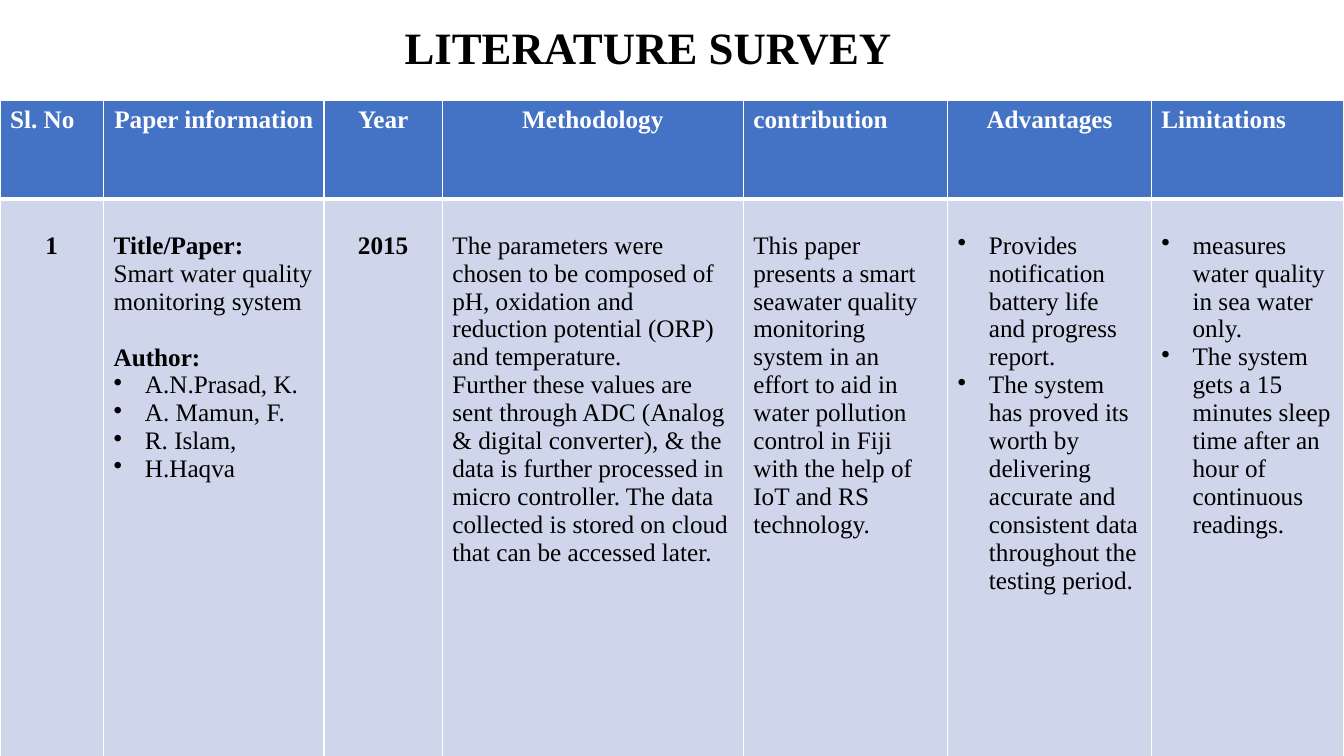
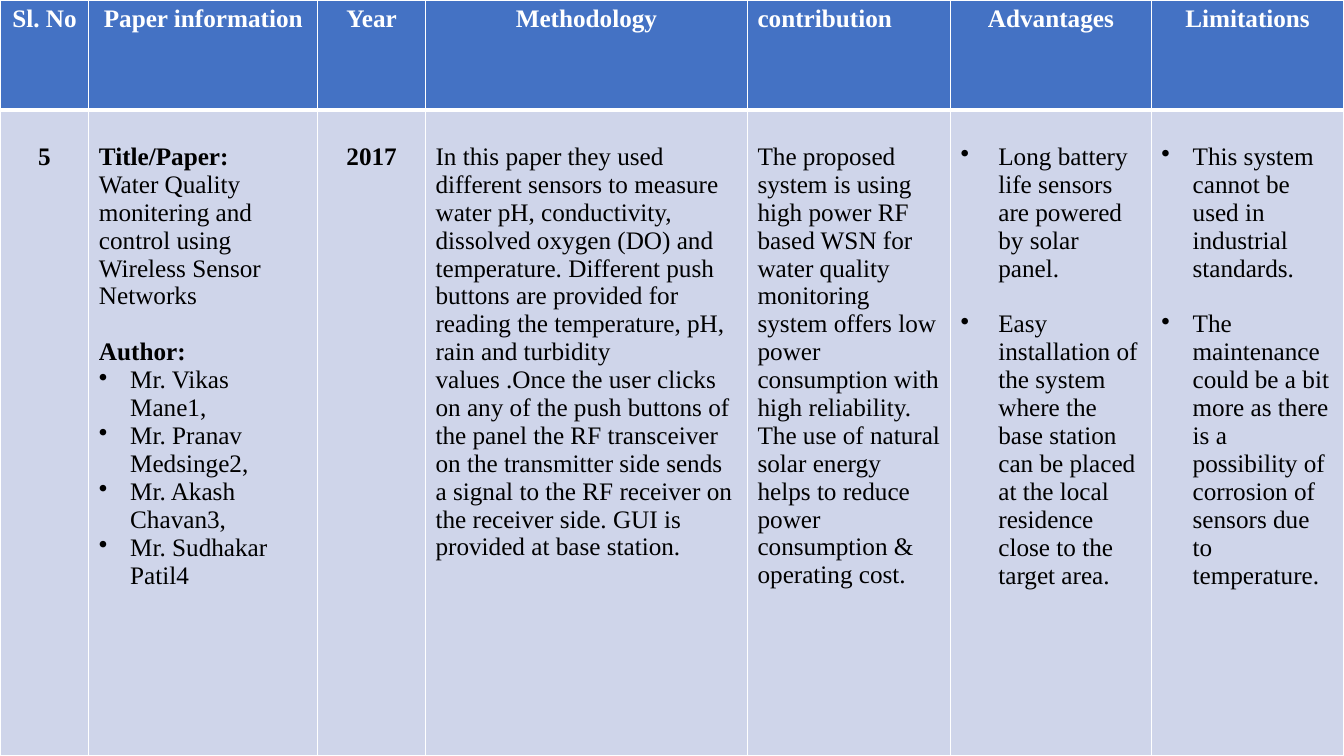
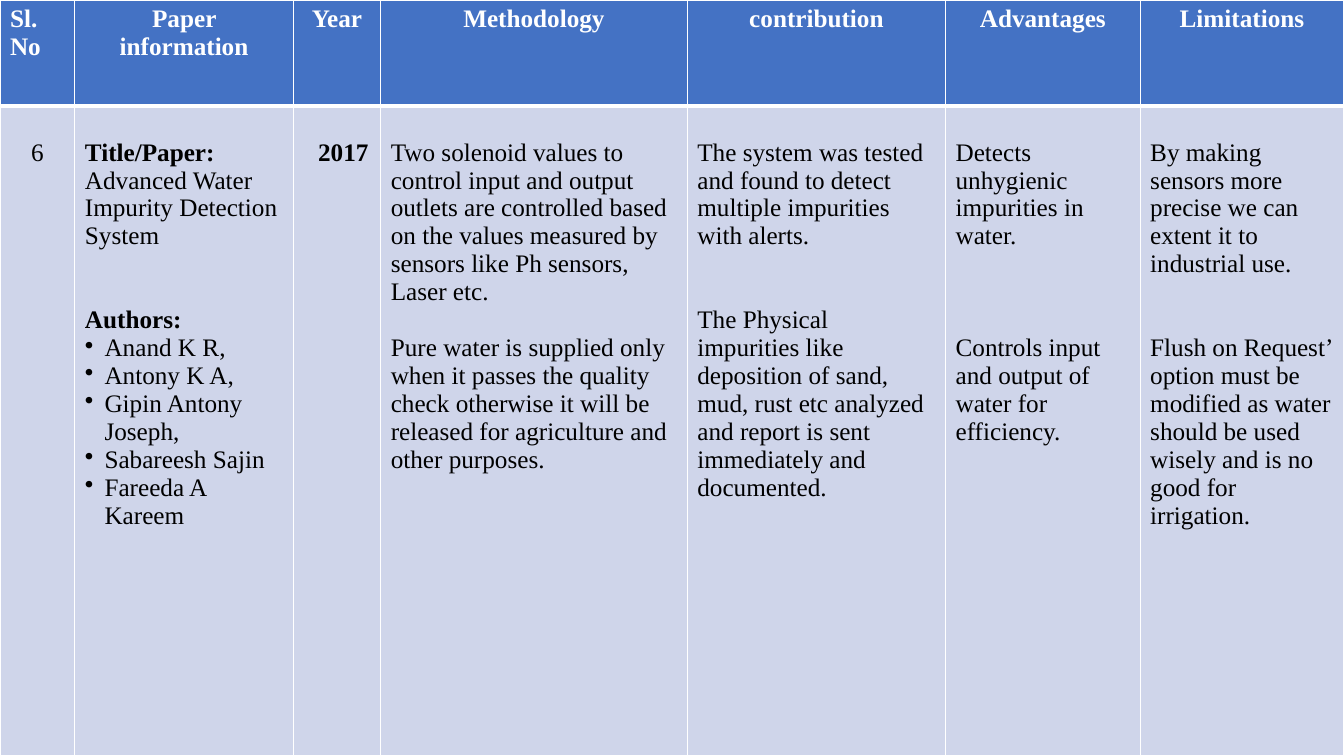
from dataclasses import dataclass

from lxml.etree import SubElement
from pptx import Presentation
from pptx.dml.color import RGBColor
from pptx.enum.text import MSO_ANCHOR, PP_ALIGN
from pptx.oxml.ns import qn
from pptx.util import Pt

FONT = "Times New Roman"
BLACK, WHITE, HEADER_FILL, BODY_FILL = "000000", "FFFFFF", "4472C4", "CFD5EA"
SLIDE_WIDTH, SLIDE_HEIGHT = 960, 540
TEXT_SIZE, LINE_HEIGHT, CELL_INSET = 18, 20, 3.6
TITLE = "LITERATURE SURVEY"
HEADINGS = ["Sl. No", "Paper information", "Year", "Methodology",
            "contribution", "Advantages", "Limitations"]


@dataclass
class Para:
    """One paragraph; gap counts the free lines above it."""
    text: str
    bold: bool = False
    centred: bool = False
    gap: int = 0
    hang: float = 0
    indent: float = 0


def label(text, gap=0):
    return Para(text, bold=True, gap=gap)


def centre(text, bold=True, indent=0):
    return Para(text, bold=bold, centred=True, indent=indent)


def bullets(*texts, gap=0, hang=22.3):
    return [Para(text, gap=gap if i else 0, hang=hang)
            for i, text in enumerate(texts)]


SURVEYS = [
    {
        "title": TITLE,
        "top": 72,
        "columns": [74, 157.5, 84.5, 215, 146, 145.5, 137.5],
        "rows": [70, 424.6],
        "left_headings": {"Sl. No", "contribution", "Limitations"},
        "paper": [
            [centre("1")],
            [label("Title/Paper:"),
             Para("Smart water quality monitoring system"),
             label("Author:", gap=1),
             *bullets("A.N.Prasad, K.", "A. Mamun, F.", "R. Islam,", "H.Haqva")],
            [centre("2015")],
            [Para("The parameters were chosen to be composed of pH, oxidation and "
                  "reduction potential (ORP) and temperature."),
             Para("Further these values are sent through ADC (Analog & digital "
                  "converter), & the data is further processed in micro controller. "
                  "The data collected is stored on cloud that can be accessed later.")],
            [Para("This paper presents a smart seawater quality monitoring system in "
                  "an effort to aid in water pollution control in Fiji with the help "
                  "of IoT and RS technology.")],
            bullets("Provides notification battery life and progress report.",
                    "The system has proved its worth by delivering accurate and "
                    "consistent data throughout the testing period."),
            bullets("measures water quality in sea water only.",
                    "The system gets a 15 minutes sleep time after an hour of "
                    "continuous readings."),
        ],
    },
    {
        "top": 0,
        "columns": [63.5, 163.5, 77, 230, 145, 143.5, 137.5],
        "rows": [78.5, 461.5],
        "left_headings": {"contribution"},
        "paper": [
            [centre("5")],
            [label("Title/Paper:"),
             Para("Water Quality monitering and control using Wireless Sensor Networks"),
             label("Author:", gap=1),
             *bullets("Mr. Vikas Mane1,", "Mr. Pranav Medsinge2,",
                      "Mr. Akash Chavan3,", "Mr. Sudhakar Patil4")],
            [centre("2017")],
            [Para("In this paper they used different sensors to measure water pH, "
                  "conductivity, dissolved oxygen (DO) and temperature. Different push "
                  "buttons are provided for reading the temperature, pH, rain and "
                  "turbidity values .Once the user clicks on any of the push buttons "
                  "of the panel the RF transceiver on the transmitter side sends a "
                  "signal to the RF receiver on the receiver side. GUI is provided at "
                  "base station.")],
            [Para("The proposed system is using high power RF based WSN for water "
                  "quality monitoring system offers low power consumption with high "
                  "reliability. The use of natural solar energy helps to reduce power "
                  "consumption & operating cost.")],
            bullets("Long battery life sensors are powered by solar panel.",
                    "Easy installation of the system where the base station can be "
                    "placed at the local residence close to the target area.",
                    gap=1, hang=27),
            bullets("This system cannot be used in industrial standards.",
                    "The maintenance could be a bit more as there is a possibility of "
                    "corrosion of sensors due to temperature.", gap=1),
        ],
    },
    {
        "top": 0,
        "columns": [53.5, 156, 62.5, 219, 184.5, 139, 145.5],
        "rows": [75.5, 464.5],
        "left_headings": {"Sl. No"},
        "paper": [
            [centre("6", bold=False)],
            [label("Title/Paper:"),
             Para("Advanced Water Impurity Detection System"),
             label("Authors:", gap=2),
             *bullets("Anand K R,", "Antony K A,", "Gipin Antony Joseph,",
                      "Sabareesh Sajin", "Fareeda A Kareem", hang=14)],
            [centre("2017", indent=9)],
            [Para("Two solenoid values to control input and output outlets are "
                  "controlled based on the values measured by sensors like Ph sensors, "
                  "Laser etc."),
             Para("Pure water is supplied only when it passes the quality check "
                  "otherwise it will be released for agriculture and other purposes.",
                  gap=1)],
            [Para("The system was tested and found to detect multiple impurities with "
                  "alerts."),
             Para("The Physical impurities like deposition of sand, mud, rust etc "
                  "analyzed and report is sent immediately and documented.", gap=2)],
            [Para("Detects unhygienic impurities in water."),
             Para("Controls input and output of water for efficiency.", gap=3)],
            [Para("By making sensors more precise we can extent it to industrial use."),
             Para("Flush on Request’ option must be modified as water should be used "
                  "wisely and is no good for irrigation.", gap=2)],
        ],
    },
]


def rgb(colour):
    return RGBColor.from_string(colour)


def style_font(font, size, colour, bold):
    font.name, font.size, font.bold = FONT, Pt(size), bold
    font.color.rgb = rgb(colour)


def add_borders(cell, top, bottom):
    properties = cell._tc.get_or_add_tcPr()
    for side, width in (("L", 1), ("R", 1), ("T", top), ("B", bottom)):
        line = SubElement(properties, qn(f"a:ln{side}"), w=str(Pt(width)))
        SubElement(SubElement(line, qn("a:solidFill")), qn("a:srgbClr"), val=WHITE)


def write_para(paragraph, para, colour):
    paragraph.text = para.text
    paragraph.alignment = PP_ALIGN.CENTER if para.centred else PP_ALIGN.LEFT
    properties = paragraph._p.get_or_add_pPr()
    if para.hang or para.indent:
        properties.set("marL", str(Pt(para.hang + para.indent)))
        properties.set("indent", str(-Pt(para.hang)))
    if para.hang:
        SubElement(properties, qn("a:buChar"), char="•")
    if para.gap:
        paragraph.space_before = Pt(para.gap * LINE_HEIGHT)
    for run in paragraph.runs:
        style_font(run.font, TEXT_SIZE, colour, para.bold)


def fill_cell(cell, paras, colour, fill):
    cell.fill.solid()
    cell.fill.fore_color.rgb = rgb(fill)
    frame = cell.text_frame
    for i, para in enumerate(paras):
        write_para(frame.add_paragraph() if i else frame.paragraphs[0], para, colour)


def add_title(slide, text):
    title = slide.shapes.title
    title.left, title.top, title.width, title.height = Pt(227.5), Pt(10), Pt(471), Pt(46)
    title.text_frame.text = text
    title.text_frame.vertical_anchor = MSO_ANCHOR.MIDDLE
    paragraph = title.text_frame.paragraphs[0]
    paragraph.alignment = PP_ALIGN.CENTER
    style_font(paragraph.runs[0].font, 32, BLACK, True)


def add_survey_table(slide, survey):
    table = slide.shapes.add_table(
        2, len(HEADINGS), 0, Pt(survey["top"]),
        Pt(SLIDE_WIDTH), Pt(sum(survey["rows"]))).table
    for row, height in zip(table.rows, survey["rows"]):
        row.height = Pt(height)
    for i, (heading, width, paras) in enumerate(
            zip(HEADINGS, survey["columns"], survey["paper"])):
        table.columns[i].width = Pt(width)
        header, body = table.cell(0, i), table.cell(1, i)
        add_borders(header, top=1, bottom=3)
        add_borders(body, top=3, bottom=1)
        centred = heading not in survey["left_headings"]
        fill_cell(header, [Para(heading, True, centred)], WHITE, HEADER_FILL)
        body.margin_top = Pt(CELL_INSET + LINE_HEIGHT)
        fill_cell(body, paras, BLACK, BODY_FILL)


def main():
    deck = Presentation()
    deck.slide_width, deck.slide_height = Pt(SLIDE_WIDTH), Pt(SLIDE_HEIGHT)
    title_only, blank = deck.slide_layouts[5], deck.slide_layouts[6]
    for survey in SURVEYS:
        has_title = "title" in survey
        slide = deck.slides.add_slide(title_only if has_title else blank)
        if has_title:
            add_title(slide, survey["title"])
        add_survey_table(slide, survey)
    deck.save("out.pptx")


if __name__ == "__main__":
    main()
